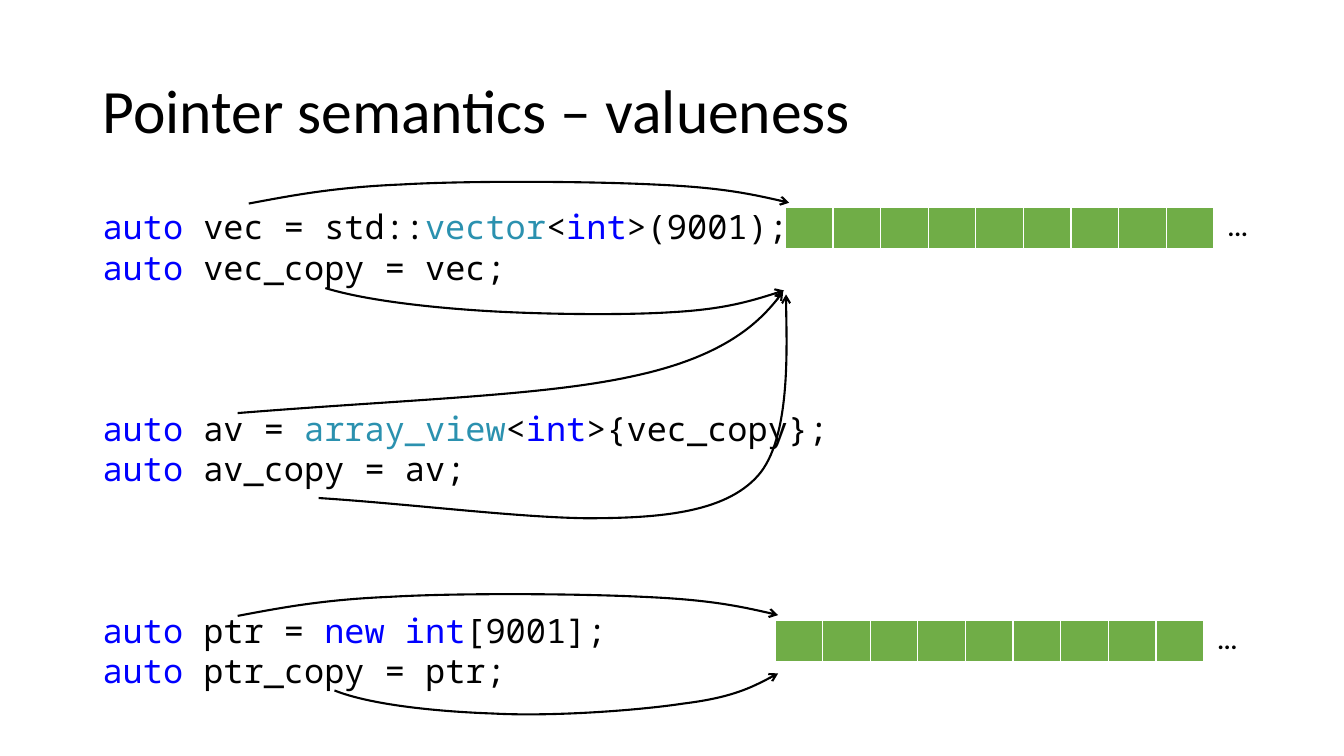
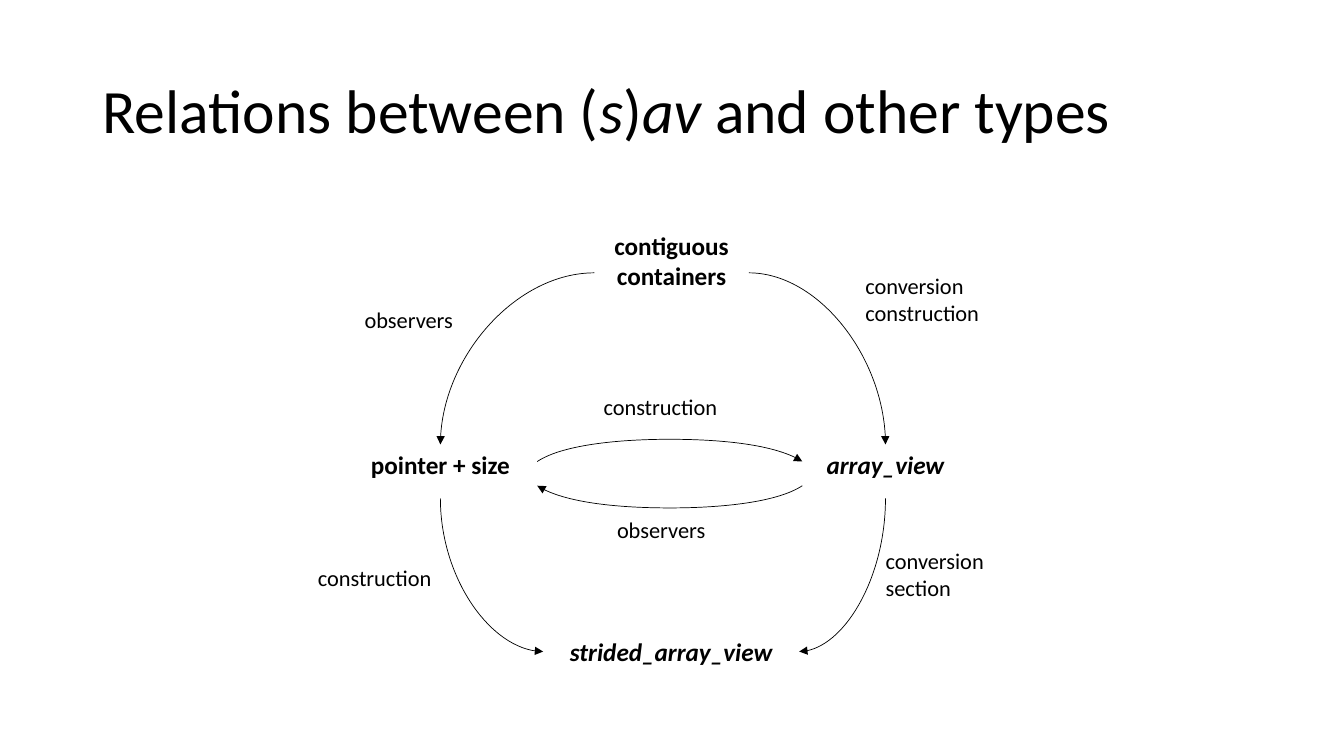
import pptx
import pptx.dml.color
import pptx.enum.shapes
import pptx.enum.text
import pptx.oxml.xmlchemy
import pptx.util

Cm = pptx.util.Cm
Pt = pptx.util.Pt
RGBColor = pptx.dml.color.RGBColor
ALIGN = pptx.enum.text.PP_ALIGN

BLACK = RGBColor(0x00, 0x00, 0x00)
WHITE = RGBColor(0xFF, 0xFF, 0xFF)
KEYWORD = RGBColor(0x00, 0x00, 0xFF)
TYPE_NAME = RGBColor(0x2B, 0x91, 0xAF)
GREEN = RGBColor(0x70, 0xAD, 0x47)

TEXT_FONT = "Calibri"
CODE_FONT = "Noto Sans Mono"
CODE_LINE = 28.8
TITLE_LAYOUT_BODY, TITLE_LAYOUT_ONLY = 1, 5
TOP, LEFT, BOTTOM, RIGHT = range(4)

CODE_BLOCKS = [
    [
        [("auto ", KEYWORD), ("vec = std::", BLACK), ("vector", TYPE_NAME),
         ("<", BLACK), ("int", KEYWORD), (">(9001);", BLACK)],
        [("auto ", KEYWORD), ("vec_copy = vec;", BLACK)],
    ],
    [
        [("auto ", KEYWORD), ("av = ", BLACK), ("array_view", TYPE_NAME),
         ("<", BLACK), ("int", KEYWORD), (">{vec_copy};", BLACK)],
        [("auto ", KEYWORD), ("av_copy = av;", BLACK)],
    ],
    [
        [("auto ", KEYWORD), ("ptr = ", BLACK), ("new int", KEYWORD), ("[9001];", BLACK)],
        [("auto ", KEYWORD), ("ptr_copy = ptr;", BLACK)],
    ],
]

BUFFER_CORNERS = [(19.81, 5.26), (19.79, 5.23), (19.53, 15.64)]

VEC_CURVE = [(6.27, 5.13), (7.34, 4.93), (8.41, 4.72), (10.11, 4.65), (11.81, 4.55),
             (14.86, 4.57), (16.48, 4.65), (18.11, 4.72), (19, 4.9), (19.89, 5.11)]
PTR_CURVE = [(x - 0.28, y + 10.39) for x, y in VEC_CURVE]
VEC_COPY_CURVE = [(8.2, 7.26), (9.12, 7.54), (10.54, 7.72), (11.99, 7.82), (13.44, 7.92),
                  (15.62, 7.95), (16.89, 7.87), (18.19, 7.8), (19, 7.57), (19.76, 7.32)]
PTR_COPY_CURVE = [(8.43, 17.4), (9.3, 17.75), (10.95, 17.93), (12.42, 17.98), (13.87, 18.06),
                  (16.03, 17.91), (17.22, 17.73), (18.44, 17.58), (19.1, 17.25), (19.61, 16.97)]
AV_CURVE = [(5.99, 10.41), (10.34, 10.06), (13.72, 9.98), (16, 9.47),
            (18.31, 8.97), (19.38, 7.87), (19.74, 7.34)]
AV_COPY_CURVE = [(8.03, 12.55), (10.34, 12.7), (12.93, 13.03), (14.76, 13.06), (16.61, 13.06),
                 (18.26, 12.93), (19.1, 11.99), (19.94, 11.05), (19.81, 8.38), (19.81, 7.42)]
CONSTRUCTION_CURVE = [(13.54, 11.63), (14.22, 11.18), (15.75, 11.07), (16.87, 11.07),
                      (17.98, 11.07), (19.53, 11.18), (20.22, 11.63)]
OBSERVERS_CURVE = [(33.76 - x, 23.87 - y) for x, y in CONSTRUCTION_CURVE]


def add_element(parent, tag, **attributes):
    element = pptx.oxml.xmlchemy.OxmlElement(tag)
    for name, value in attributes.items():
        element.set(name, value)
    parent.append(element)


def add_run(paragraph, text, font_name, size, color=BLACK, bold=False, italic=False):
    run = paragraph.add_run()
    run.text = text
    font = run.font
    font.name, font.size, font.bold, font.italic = font_name, Pt(size), bold, italic
    font.color.rgb = color


def place(shape, left, top, width, height):
    shape.left, shape.top, shape.width, shape.height = map(Cm, (left, top, width, height))


def add_titled_slide(presentation, layout_index, title_parts):
    slide = presentation.slides.add_slide(presentation.slide_layouts[layout_index])
    title = slide.shapes.title
    place(title, 2.33, 1.01, 29.21, 3.68)
    title.text_frame.vertical_anchor = pptx.enum.text.MSO_ANCHOR.MIDDLE
    title.text_frame.auto_size = pptx.enum.text.MSO_AUTO_SIZE.NONE
    paragraph = title.text_frame.paragraphs[0]
    paragraph.alignment = ALIGN.LEFT
    paragraph.line_spacing = 0.9
    for text, italic in title_parts:
        add_run(paragraph, text, TEXT_FONT, 44, italic=italic)
    return slide


def fill_code(body, blocks):
    place(body, 2.33, 5.07, 29.21, 13.72)
    frame = body.text_frame
    frame.auto_size = pptx.enum.text.MSO_AUTO_SIZE.NONE
    paragraph = frame.paragraphs[0]
    for block_index, block in enumerate(blocks):
        for line_index, line in enumerate(block):
            if block_index or line_index:
                paragraph = frame.add_paragraph()
            starts_later_block = block_index > 0 and line_index == 0
            paragraph.space_before = Pt(3 * CODE_LINE if starts_later_block else 0)
            paragraph.line_spacing = Pt(CODE_LINE)
            properties = paragraph._p.get_or_add_pPr()
            properties.set("marL", "0")
            properties.set("indent", "0")
            add_element(properties, "a:buNone")
            for text, color in line:
                add_run(paragraph, text, CODE_FONT, 24, color)


def add_buffer(slide, left, top, cell_count=9):
    columns = cell_count + 1
    frame = slide.shapes.add_table(1, columns, Cm(left), Cm(top), Cm(1.2 * columns), Cm(1.02))
    table = frame.table
    table.horz_banding = False
    table.rows[0].height = Cm(0.69)
    frame.height = Cm(1.02)
    for index in range(columns):
        cell = table.cell(0, index)
        cell.fill.solid()
        cell.fill.fore_color.rgb = GREEN if index < cell_count else WHITE
    paragraph = table.cell(0, cell_count).text_frame.paragraphs[0]
    paragraph.alignment = ALIGN.CENTER
    add_run(paragraph, "...", TEXT_FONT, 18, bold=True)


def style_arrow(shape, width, end_tag, arrowhead):
    shape.line.color.rgb = BLACK
    shape.line.width = Pt(width)
    add_element(shape.element.xpath(".//a:ln")[0], end_tag, type=arrowhead)
    add_element(shape.element.spPr, "a:effectLst")


def add_curve(slide, points, width, arrowhead):
    corners = [(Cm(x), Cm(y)) for x, y in points]
    builder = slide.shapes.build_freeform(*corners[0])
    builder.add_line_segments(corners[1:], close=False)
    shape = builder.convert_to_shape()
    shape.fill.background()
    segments = shape.element.xpath(".//a:lnTo")
    for start in range(0, len(segments), 3):
        curve = pptx.oxml.xmlchemy.OxmlElement("a:cubicBezTo")
        segments[start].addprevious(curve)
        for segment in segments[start:start + 3]:
            curve.append(segment[0])
            segment.getparent().remove(segment)
    style_arrow(shape, width, "a:tailEnd", arrowhead)


def add_link(slide, source, source_site, target, target_site, end_tag):
    connector = slide.shapes.add_connector(pptx.enum.shapes.MSO_CONNECTOR.CURVE, 0, 0, 0, 0)
    connector.begin_connect(source, source_site)
    connector.end_connect(target, target_site)
    connector.element.xpath(".//a:prstGeom")[0].set("prst", "curvedConnector2")
    style_arrow(connector, 0.5, end_tag, "triangle")


def add_text(slide, lines, box, size, alignment=ALIGN.LEFT, bold=False, italic=False):
    shape = slide.shapes.add_textbox(*map(Cm, box))
    frame = shape.text_frame
    frame.word_wrap = True
    for index, line in enumerate(lines):
        paragraph = frame.add_paragraph() if index else frame.paragraphs[0]
        paragraph.alignment = alignment
        add_run(paragraph, line, TEXT_FONT, size, bold=bold, italic=italic)
    return shape


def add_node(slide, lines, box, italic=False):
    return add_text(slide, lines, box, 18, ALIGN.CENTER, True, italic)


def build_valueness(presentation):
    slide = add_titled_slide(presentation, TITLE_LAYOUT_BODY,
                             [("Pointer semantics – valueness", False)])
    fill_code(slide.placeholders[1], CODE_BLOCKS)
    for left, top in BUFFER_CORNERS:
        add_buffer(slide, left, top)
    for points in (VEC_CURVE, VEC_COPY_CURVE, PTR_CURVE, PTR_COPY_CURVE,
                   AV_CURVE, AV_COPY_CURVE):
        add_curve(slide, points, 1.5, "arrow")


def build_relations(presentation):
    slide = add_titled_slide(presentation, TITLE_LAYOUT_ONLY, [
        ("Relations between (", False), ("s", True), (")", False),
        ("av ", True), ("and other types", False)])
    containers = add_node(slide, ["contiguous", "containers"], (14.98, 5.68, 3.89, 2.39))
    pointer = add_node(slide, ["pointer + size"], (8.8, 11.2, 4.6, 1.36))
    view = add_node(slide, ["array_view"], (20.32, 11.2, 3.99, 1.36), italic=True)
    strided = add_node(slide, ["strided_array_view"], (13.69, 15.91, 6.45, 1.02), italic=True)

    add_link(slide, containers, LEFT, pointer, TOP, "a:tailEnd")
    add_link(slide, containers, RIGHT, view, TOP, "a:tailEnd")
    add_link(slide, strided, LEFT, pointer, BOTTOM, "a:headEnd")
    add_link(slide, strided, RIGHT, view, BOTTOM, "a:headEnd")
    for points in (CONSTRUCTION_CURVE, OBSERVERS_CURVE):
        add_curve(slide, points, 0.5, "triangle")

    for lines, left, top in (
        (["conversion", "construction"], 21.56, 6.73),
        (["conversion", "section"], 22.07, 13.67),
        (["construction"], 14.96, 9.78),
        (["observers"], 15.3, 12.88),
        (["construction"], 7.76, 14.1),
        (["observers"], 8.94, 7.58),
    ):
        add_text(slide, lines, (left, top, 3.89, 0.56 + 0.68 * len(lines)), 16)


def main():
    presentation = pptx.Presentation()
    presentation.slide_width = Cm(33.87)
    presentation.slide_height = Cm(19.05)
    build_valueness(presentation)
    build_relations(presentation)
    presentation.save("out.pptx")


if __name__ == "__main__":
    main()
